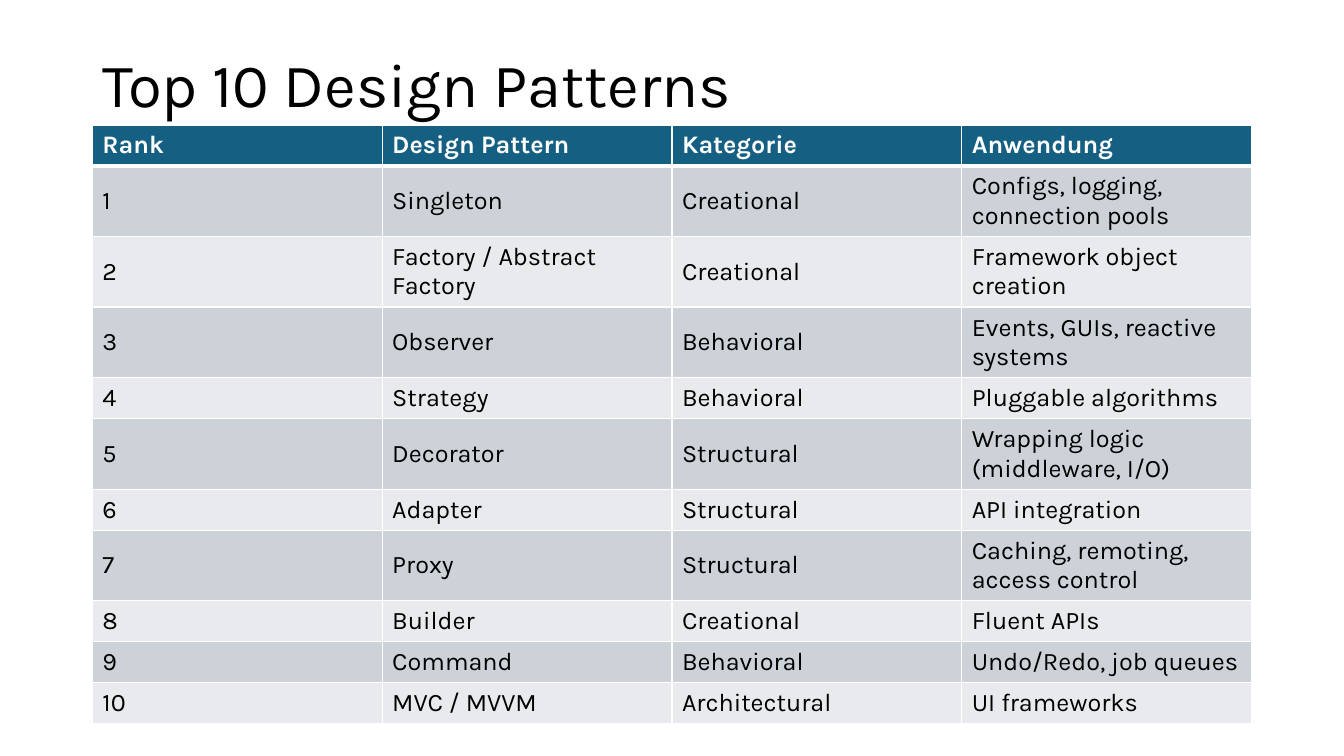
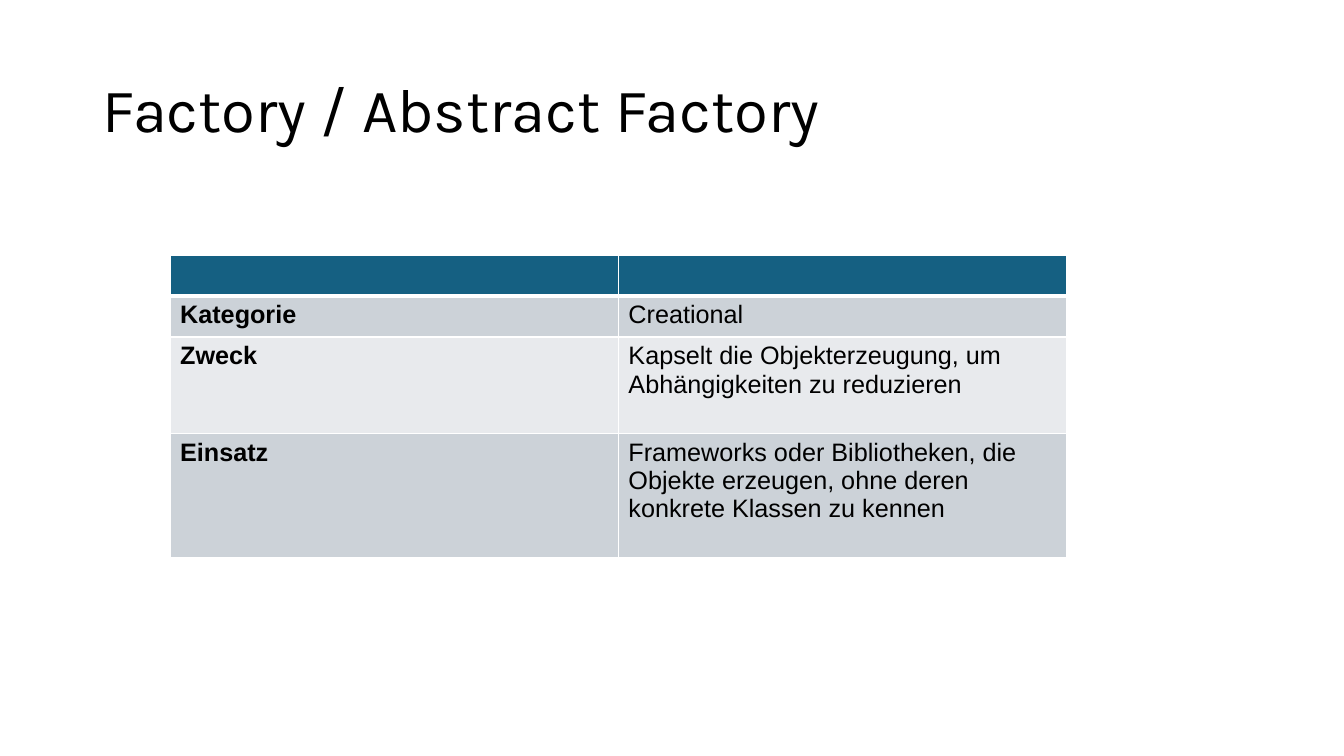
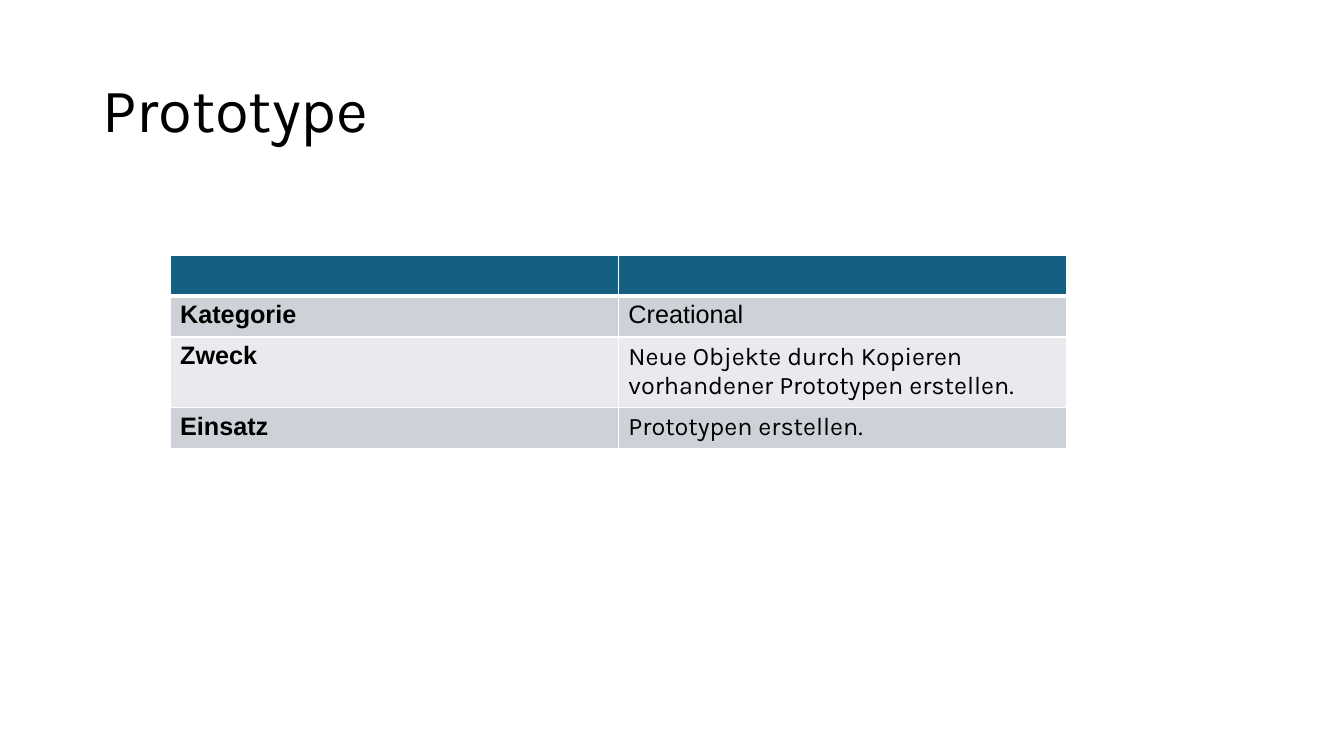
from lxml import etree
from pptx import Presentation, util as u
from pptx.dml import color
from pptx.enum import text
from pptx.oxml import ns

PX = 9525
PAGE_SIZE = 1280, 720
SANS, PLAIN = "Karla", "Arial"
BLACK, WHITE, TEAL = "000000", "FFFFFF", "156082"
BANDS = "CCD2D8", "E8EAED"
MARGIN, CONTENT_WIDTH, TITLE_HEIGHT = 88, 1104, 139
ROW_HEIGHT = 39
THIN, THICK = 1, 3

RANKING = [
    ("Rank", "Design Pattern", "Kategorie", "Anwendung"),
    ("1", "Singleton", "Creational", "Configs, logging, connection pools"),
    ("2", "Factory / Abstract Factory", "Creational", "Framework object creation"),
    ("3", "Observer", "Behavioral", "Events, GUIs, reactive systems"),
    ("4", "Strategy", "Behavioral", "Pluggable algorithms"),
    ("5", "Decorator", "Structural", "Wrapping logic (middleware, I/O)"),
    ("6", "Adapter", "Structural", "API integration"),
    ("7", "Proxy", "Structural", "Caching, remoting, access control"),
    ("8", "Builder", "Creational", "Fluent APIs"),
    ("9", "Command", "Behavioral", "Undo/Redo, job queues"),
    ("10", "MVC / MVVM", "Architectural", "UI frameworks"),
]


def px(length):
    return u.Emu(length * PX)


def rgb(value):
    return color.RGBColor.from_string(value)


def style_text(frame, font, size, fill, bold=False):
    for para in frame.paragraphs:
        for span in para.runs:
            span.font.name = font
            span.font.size = u.Pt(size)
            span.font.bold = bold
            span.font.color.rgb = rgb(fill)


def add_page(deck, title, title_top=38):
    page = deck.slides.add_slide(deck.slide_layouts[6])
    box = page.shapes.add_textbox(
        px(MARGIN), px(title_top), px(CONTENT_WIDTH), px(TITLE_HEIGHT))
    frame = box.text_frame
    frame.word_wrap = True
    frame.vertical_anchor = text.MSO_ANCHOR.MIDDLE
    frame.text = title
    frame.paragraphs[0].line_spacing = 0.9
    style_text(frame, SANS, 44, BLACK)
    return page


def set_borders(cell, top, bottom):
    properties = cell._tc.get_or_add_tcPr()
    widths = {"lnL": THIN, "lnR": THIN, "lnT": top, "lnB": bottom}
    for index, (side, width) in enumerate(widths.items()):
        line = etree.Element(ns.qn(f"a:{side}"), w=str(u.Pt(width)))
        fill = etree.SubElement(line, ns.qn("a:solidFill"))
        etree.SubElement(fill, ns.qn("a:srgbClr"), val=WHITE)
        properties.insert(index, line)


def add_grid(page, left, top, column_width, rows, heights, anchor):
    columns = len(rows[0])
    frame = page.shapes.add_table(
        len(rows), columns, px(left), px(top),
        px(column_width * columns), px(sum(heights)))
    table = frame.table
    table.first_row = table.horz_banding = False
    for column in table.columns:
        column.width = px(column_width)
    for row, height in zip(table.rows, heights):
        row.height = px(height)
    for r, row in enumerate(rows):
        for c, value in enumerate(row):
            cell = table.cell(r, c)
            cell.text = value
            cell.vertical_anchor = anchor
            cell.fill.solid()
            cell.fill.fore_color.rgb = rgb(BANDS[(r - 1) % 2] if r else TEAL)
            style_text(cell.text_frame, SANS, 18, BLACK if r else WHITE, r == 0)
            set_borders(cell, THICK if r == 1 else THIN, THIN if r else THICK)
    return table


def add_pattern_page(deck, name, purpose, usage, heights, detail_font):
    page = add_page(deck, name)
    rows = [("", ""), ("Kategorie", "Creational"),
            ("Zweck", purpose), ("Einsatz", usage)]
    table = add_grid(page, 162, 243, 427, rows,
                     [ROW_HEIGHT, ROW_HEIGHT, *heights], text.MSO_ANCHOR.TOP)
    fonts = PLAIN, detail_font, detail_font
    for r, font in enumerate(fonts, 1):
        style_text(table.cell(r, 0).text_frame, PLAIN, 18, BLACK, True)
        style_text(table.cell(r, 1).text_frame, font, 18, BLACK)


def main():
    deck = Presentation()
    deck.slide_width, deck.slide_height = map(px, PAGE_SIZE)
    page = add_page(deck, "Top 10 Design Patterns", 14)
    add_grid(page, MARGIN, 119, CONTENT_WIDTH // 4, RANKING,
             [ROW_HEIGHT] * len(RANKING), text.MSO_ANCHOR.MIDDLE)
    add_pattern_page(
        deck, "Factory / Abstract Factory",
        "Kapselt die Objekterzeugung, um Abhängigkeiten zu reduzieren",
        "Frameworks oder Bibliotheken, die Objekte erzeugen, "
        "ohne deren konkrete Klassen zu kennen",
        (92, 118), PLAIN)
    add_pattern_page(
        deck, "Prototype",
        "Neue Objekte durch Kopieren vorhandener Prototypen erstellen.",
        "Prototypen erstellen.",
        (66, ROW_HEIGHT), SANS)
    deck.save("out.pptx")


if __name__ == "__main__":
    main()
